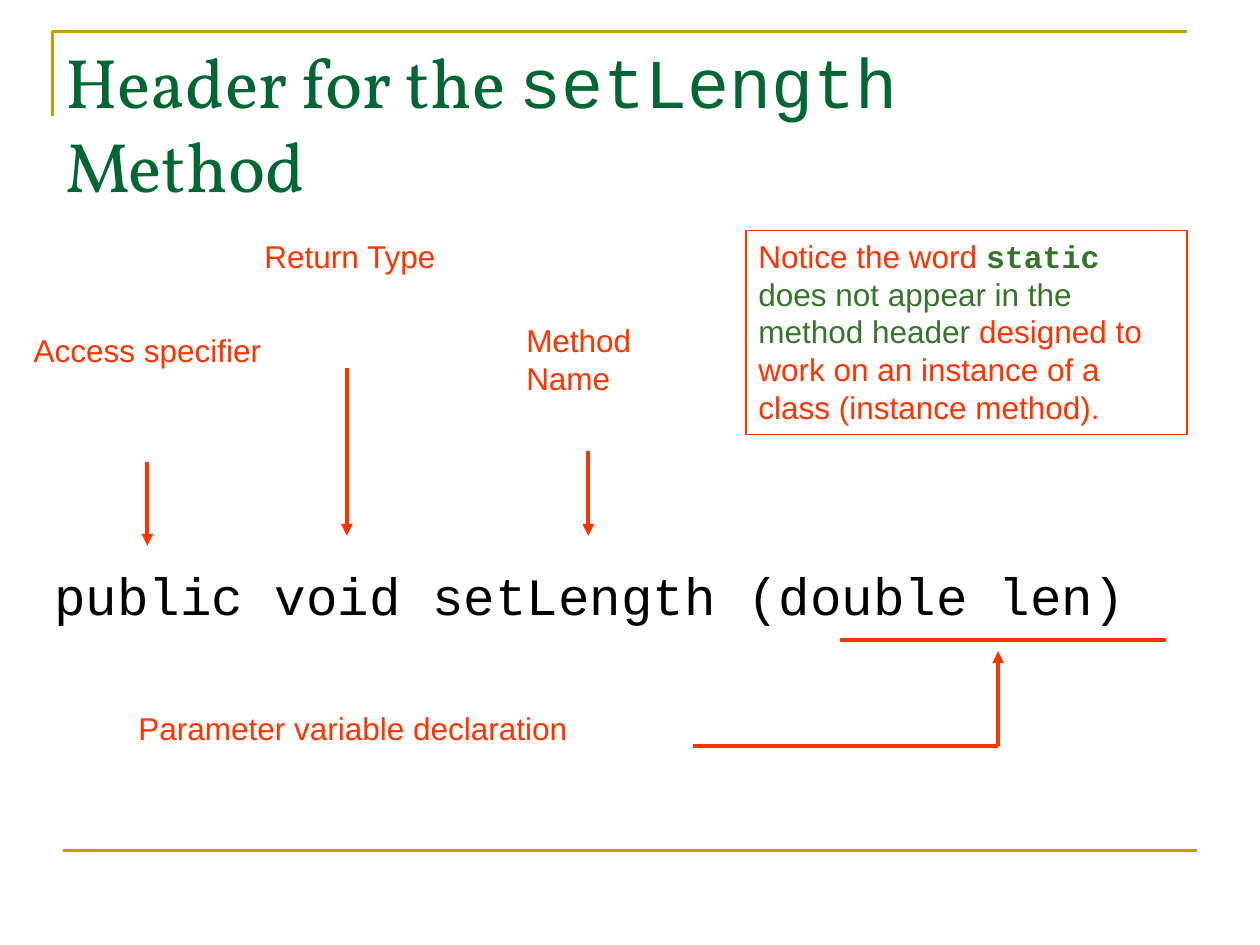
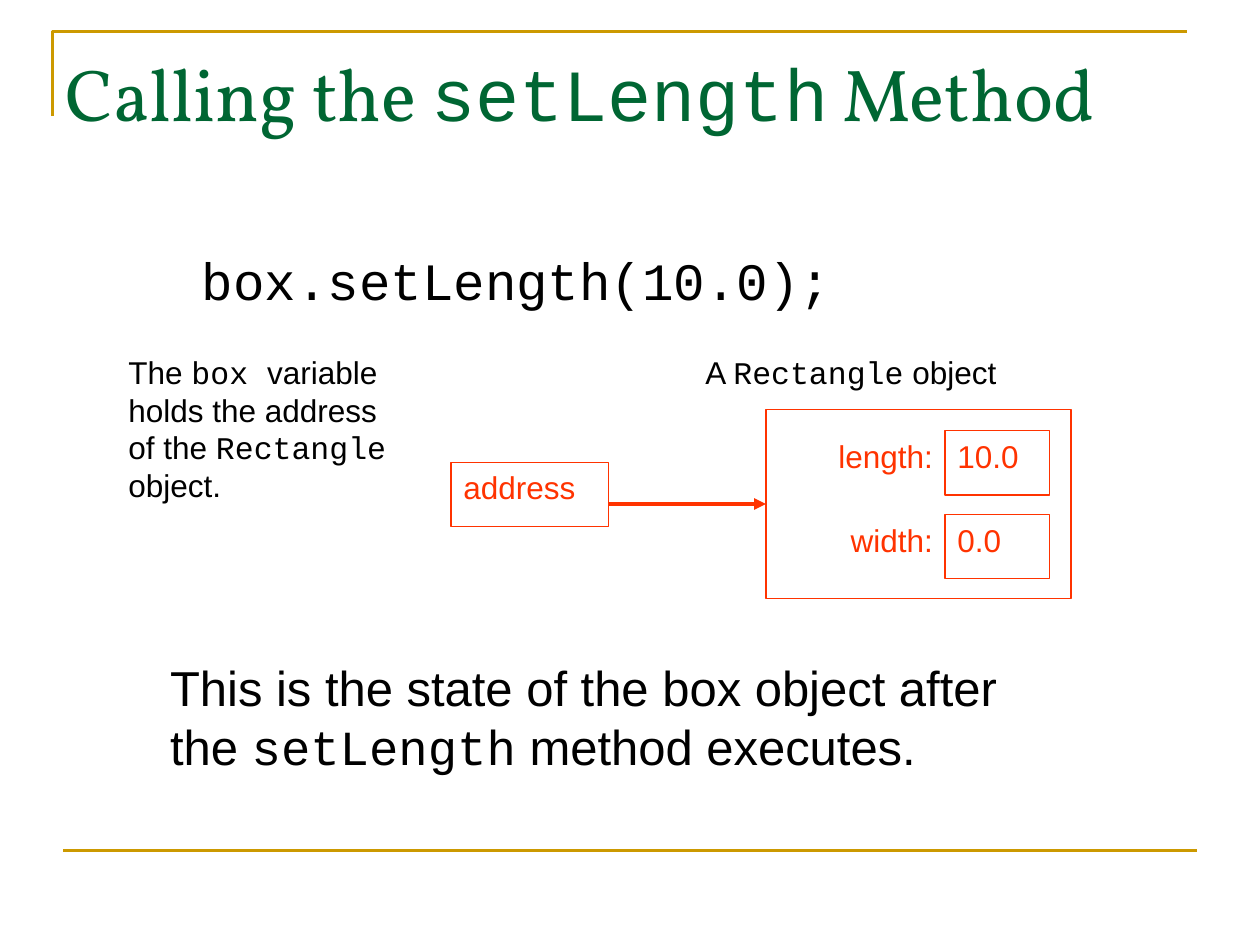
"""Build two slides that explain the header and the call of setLength."""
from dataclasses import dataclass
from typing import NamedTuple, Optional, Sequence

from lxml import etree
from pptx import Presentation
from pptx import util as u
from pptx.dml.color import RGBColor
from pptx.enum import shapes, text
from pptx.oxml import ns

GOLD = RGBColor(0xCC, 0x99, 0x00)
GREEN = RGBColor(0x00, 0x66, 0x33)
LEAF = RGBColor(0x35, 0x74, 0x2A)
RED = RGBColor(0xFF, 0x33, 0x00)
BLACK = RGBColor(0x00, 0x00, 0x00)
SERIF, SANS, MONO = "Vollkorn", "Arial", "Courier New"


class Box(NamedTuple):
    """Left, top, width and height in centimetres."""
    left: float
    top: float
    width: float
    height: float

    def lengths(self) -> list:
        return [u.Cm(value) for value in self]


class Span(NamedTuple):
    """A stretch of text whose unset formats follow its label."""
    text: str
    font: Optional[str] = None
    color: Optional[RGBColor] = None
    bold: bool = False


@dataclass
class Label:
    """Text in a place, with or without a frame."""
    box: Box
    spans: Sequence[Span]
    color: RGBColor = RED
    size: float = 18
    font: str = SANS
    framed: bool = False
    align: text.PP_ALIGN = text.PP_ALIGN.LEFT


@dataclass
class Line:
    """A straight line between two points in centimetres."""
    start: tuple
    end: tuple
    arrow: bool = True
    color: RGBColor = RED
    weight: float = 2.25


def write(shape, label: Label) -> None:
    """Fill a shape with the formatted text of a label."""
    frame = shape.text_frame
    frame.word_wrap = True
    frame.auto_size = text.MSO_AUTO_SIZE.NONE
    frame.vertical_anchor = text.MSO_ANCHOR.TOP
    paragraph = frame.paragraphs[0]
    paragraph.alignment = label.align
    for span in label.spans:
        run = paragraph.add_run()
        run.text = span.text
        run.font.name = span.font or label.font
        run.font.size = u.Pt(label.size)
        run.font.bold = span.bold
        run.font.color.rgb = span.color or label.color


def place(shape, label: Label) -> None:
    """Move a placeholder to the place of a label and write it."""
    shape.left, shape.top, shape.width, shape.height = label.box.lengths()
    write(shape, label)


def add_frame(slide, box: Box):
    """Draw an unfilled red rectangle."""
    shape = slide.shapes.add_shape(shapes.MSO_SHAPE.RECTANGLE, *box.lengths())
    shape.shadow.inherit = False
    shape.fill.background()
    shape.line.color.rgb = RED
    shape.line.width = u.Pt(0.75)
    return shape


def add_label(slide, label: Label) -> None:
    """Draw a label as a framed shape or a text box."""
    if label.framed:
        shape = add_frame(slide, label.box)
    else:
        shape = slide.shapes.add_textbox(*label.box.lengths())
    write(shape, label)


def add_line(slide, line: Line) -> None:
    """Draw a line, with an arrowhead at its end if wanted."""
    points = [u.Cm(value) for value in (*line.start, *line.end)]
    connector = slide.shapes.add_connector(shapes.MSO_CONNECTOR.STRAIGHT, *points)
    connector.line.color.rgb = line.color
    connector.line.width = u.Pt(line.weight)
    properties = connector._element.spPr
    if line.arrow:
        outline = properties.find(ns.qn("a:ln"))
        etree.SubElement(outline, ns.qn("a:tailEnd"), type="triangle")
    etree.SubElement(properties, ns.qn("a:effectLst"))


def add_bands(slide) -> None:
    """Draw the gold corner and the footer rule."""
    builder = slide.shapes.build_freeform(u.Cm(1.06), u.Cm(2.34))
    builder.add_line_segments(
        [(u.Cm(1.06), u.Cm(0.64)), (u.Cm(23.93), u.Cm(0.64))], close=False)
    corner = builder.convert_to_shape()
    corner.shadow.inherit = False
    corner.fill.background()
    corner.line.color.rgb = GOLD
    corner.line.width = u.Pt(1.5)
    add_line(slide, Line((1.27, 17.15), (24.13, 17.15), False, GOLD, 1.5))


def add_slide(presentation, title: Label, code: Label):
    """Add a slide with its bands, title and line of code."""
    slide = presentation.slides.add_slide(presentation.slide_layouts[1])
    add_bands(slide)
    place(slide.shapes.title, title)
    body = slide.placeholders[1]
    place(body, code)
    properties = body.text_frame.paragraphs[0]._p.get_or_add_pPr()
    properties.set("marL", str(u.Cm(0.95)))
    properties.set("indent", str(u.Cm(-0.95)))
    etree.SubElement(properties, ns.qn("a:buNone"))
    return slide


def title_label(top: float, size: float, start: str) -> Label:
    """Describe a title that names the setLength method."""
    spans = [Span(start), Span("setLength", MONO), Span(" Method")]
    return Label(Box(1.06, top, 21.59, 3.18), spans, GREEN, size, SERIF)


def code_label(box: Box, code: str) -> Label:
    """Describe a line of code."""
    return Label(box, [Span(code)], BLACK, 30, MONO)


def build_header_slide(presentation) -> None:
    """Name the parts of the method header."""
    slide = add_slide(
        presentation,
        title_label(0.64, 40, "Header for the "),
        code_label(Box(0.84, 11.23, 23.7, 2.11), "public void setLength (double len)"))
    parts = [
        (Box(0.43, 6.55, 5.28, 2.29), "Access specifier"),
        (Box(5.08, 4.65, 4.01, 2.29), "Return Type"),
        (Box(2.54, 14.17, 11.23, 1.27), "Parameter variable declaration"),
        (Box(10.36, 6.35, 3.38, 2.29), "Method Name"),
    ]
    for box, name in parts:
        add_label(slide, Label(box, [Span(name)]))
    lines = [
        Line((2.97, 9.32), (2.97, 11)),
        Line((6.99, 7.42), (6.99, 10.8)),
        Line((11.86, 9.09), (11.86, 10.8)),
        Line((20.12, 15.04), (20.12, 13.13)),
        Line((16.94, 12.9), (23.5, 12.9), arrow=False),
        Line((13.97, 15.04), (20.12, 15.04), arrow=False),
    ]
    for line in lines:
        add_line(slide, line)
    notice = [
        Span("Notice the word "),
        Span("static ", MONO, LEAF, True),
        Span("does not appear in the method header", color=LEAF),
        Span(" designed to work on an instance of a class (instance method)."),
    ]
    add_label(slide, Label(Box(15.04, 4.65, 8.89, 4.11), notice, framed=True))


def build_call_slide(presentation) -> None:
    """Show the object's state after the call."""
    slide = add_slide(
        presentation,
        title_label(0.84, 42, "Calling the "),
        code_label(Box(3.81, 4.88, 15.6, 1.85), "box.setLength(10.0);"))
    add_label(slide, Label(Box(9.09, 9.32, 3.18, 1.3), [Span("address")], framed=True))
    add_frame(slide, Box(15.44, 8.26, 6.15, 3.81))
    for row, (name, value) in enumerate([("length:", "10.0"), ("width:", "0.0")]):
        top = 8.68 + 1.69 * row
        add_label(slide, Label(Box(19.05, top, 2.11, 1.3), [Span(value)], framed=True))
        add_label(slide, Label(Box(15.88, top, 3.18, 1.27), [Span(name)],
                               align=text.PP_ALIGN.RIGHT))
    add_line(slide, Line((12.27, 10.16), (15.44, 10.16)))
    variable = [
        Span("The "), Span("box ", MONO), Span("variable holds the address of the "),
        Span("Rectangle", MONO), Span(" object."),
    ]
    instance = [Span("A "), Span("Rectangle", MONO), Span(" object")]
    state = [
        Span("This is the state of the box object after the "),
        Span("setLength", MONO), Span(" method executes."),
    ]
    add_label(slide, Label(Box(2.34, 6.99, 5.92, 6.35), variable, BLACK))
    add_label(slide, Label(Box(13.97, 6.99, 9.96, 1.27), instance, BLACK))
    add_label(slide, Label(Box(3.18, 13.13, 17.98, 2.64), state, BLACK, 28))


def main() -> None:
    """Build and save the presentation."""
    presentation = Presentation()
    presentation.slide_width, presentation.slide_height = u.Cm(25.4), u.Cm(19.05)
    build_header_slide(presentation)
    build_call_slide(presentation)
    presentation.save("out.pptx")


main()
